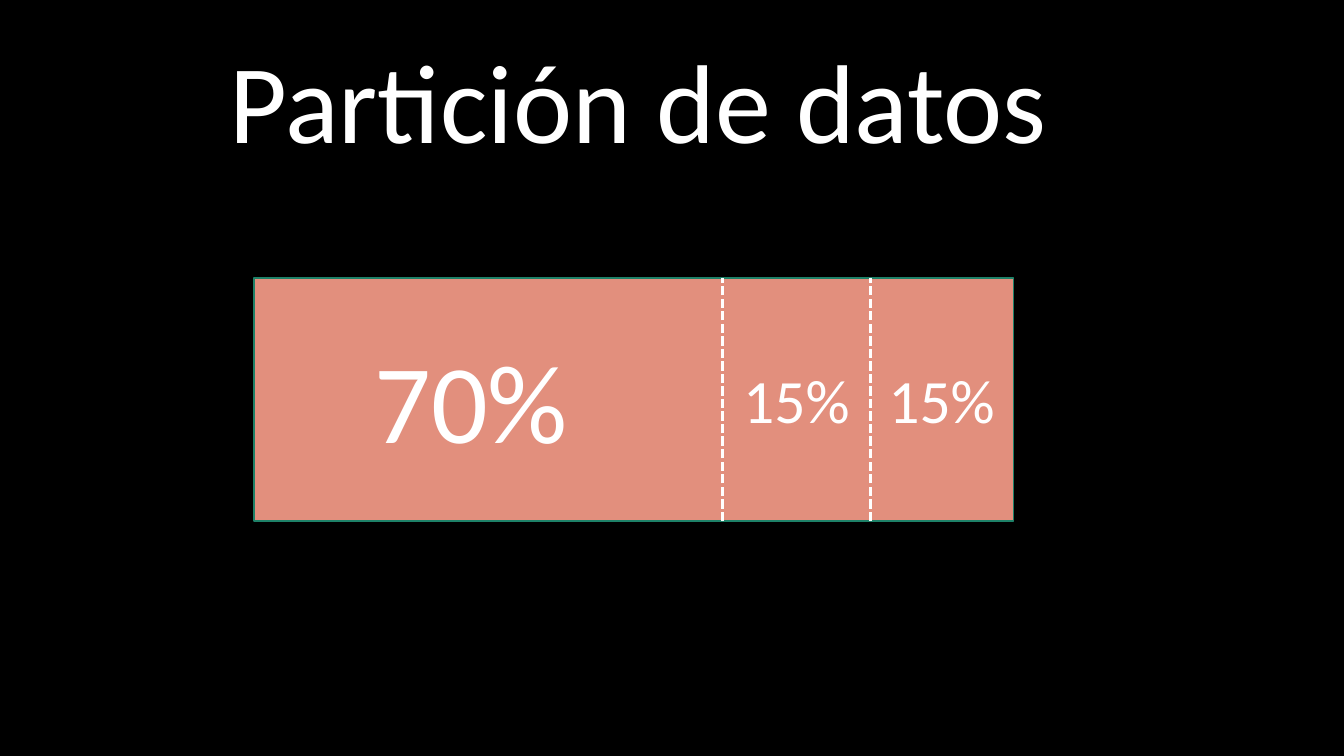
from pptx import Presentation
from pptx.dml.color import RGBColor
from pptx.enum.dml import MSO_LINE
from pptx.enum.shapes import MSO_CONNECTOR, MSO_SHAPE
from pptx.enum.text import MSO_ANCHOR, MSO_AUTO_SIZE, PP_ALIGN
from pptx.oxml.ns import qn
from pptx.util import Inches, Pt
from lxml.etree import SubElement


def paint(target, color):
    if hasattr(target, "solid"):
        target.solid()
        target.fore_color.rgb = RGBColor.from_string(color)
    else:
        target.rgb = RGBColor.from_string(color)


def write_text(box, text, size=44, color="FFFFFF", font="Calibri"):
    frame = box.text_frame
    frame.word_wrap = True
    frame.auto_size = MSO_AUTO_SIZE.SHAPE_TO_FIT_TEXT
    frame.vertical_anchor = MSO_ANCHOR.TOP
    para = frame.paragraphs[0]
    para.alignment = PP_ALIGN.CENTER
    span = para.add_run()
    span.text = text
    span.font.size = Pt(size)
    span.font.name = font
    paint(span.font.color, color)


def add_title(page, left, top, width, height):
    title = page.shapes.title
    title.left, title.top = Inches(left), Inches(top)
    title.width, title.height = Inches(width), Inches(height)
    write_text(title, "Partición de datos", size=80)


def add_divider(page, x, top, height):
    divider = page.shapes.add_connector(
        MSO_CONNECTOR.STRAIGHT, Inches(x), Inches(top + height), Inches(x), Inches(top))
    paint(divider.line.fill, "FFFFFF")
    divider.line.width = Pt(2.25)
    divider.line.dash_style = MSO_LINE.SQUARE_DOT
    SubElement(divider._element.spPr, qn("a:effectLst"))


def add_partition_bar(page, left, top, width, height):
    bar = page.shapes.add_shape(
        MSO_SHAPE.RECTANGLE, Inches(left), Inches(top), Inches(width), Inches(height))
    bar.shadow.inherit = False
    paint(bar.fill, "E28F7D")
    paint(bar.line.fill, "1E8168")
    bar.line.width = Pt(1)

    shares = [
        ("70%", 80, 0.27, 3.77, 1.45),
        ("15%", 44, 4.65, 1.46, 0.84),
        ("15%", 44, 6.09, 1.46, 0.84),
    ]
    for text, size, offset, label_width, label_height in shares:
        label = page.shapes.add_textbox(
            Inches(left + offset), Inches(top + (height - label_height) / 2),
            Inches(label_width), Inches(label_height))
        write_text(label, text, size=size)

    for offset in (4.65, 6.11):
        add_divider(page, left + offset, top, height)


def main():
    deck = Presentation()
    deck.slide_width, deck.slide_height = Inches(13.33), Inches(7.5)
    page = deck.slides.add_slide(deck.slide_layouts[5])
    paint(page.background.fill, "000000")
    add_title(page, 1.53, 0.26, 9.61, 1.45)
    add_partition_bar(page, 2.52, 2.76, 7.53, 2.41)
    deck.save("out.pptx")


if __name__ == "__main__":
    main()
